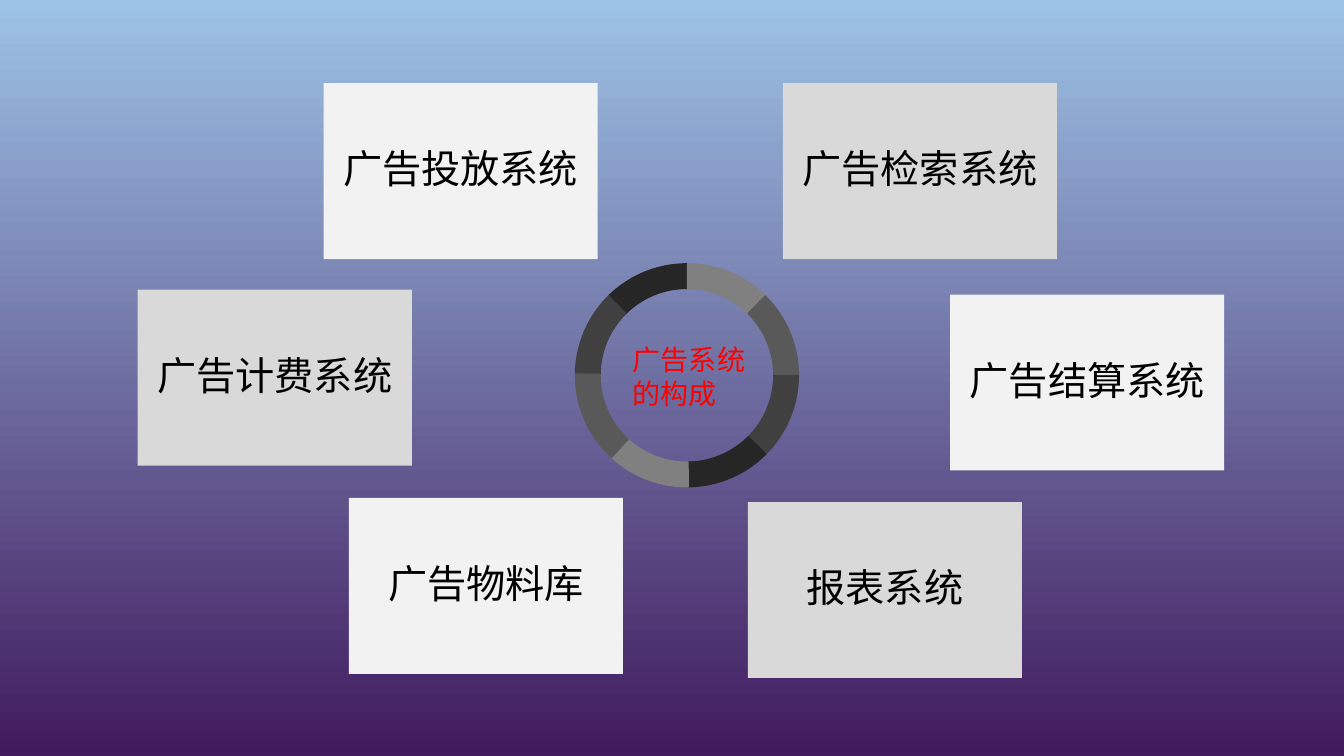
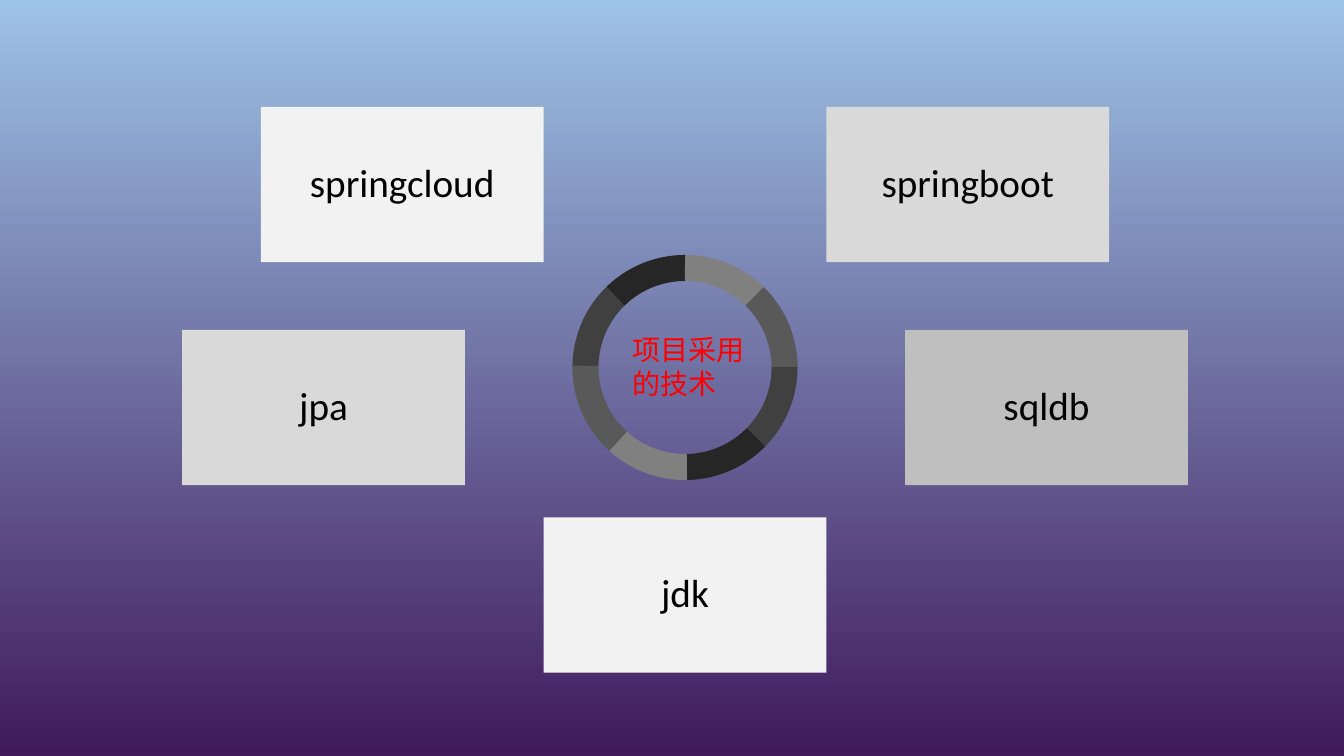
from dataclasses import dataclass
from itertools import cycle, pairwise

from lxml import etree
from pptx import Presentation
from pptx.dml.color import RGBColor
from pptx.enum import shapes, text
from pptx.oxml import ns
from pptx.util import Pt

COLOURS = {
    "sky": "9DC3E6",
    "violet": "401A5D",
    "pale": "F2F2F2",
    "light": "D9D9D9",
    "silver": "BFBFBF",
    "grey": "808080",
    "slate": "595959",
    "charcoal": "404040",
    "ink": "262626",
    "black": "000000",
    "red": "FF0000",
}
LATIN_FONT = "Calibri"
CHINESE_FONT = "Noto Sans CJK SC"
RING_SEAMS = (180.6, 226.2, 270.4, 314.7, 0.2, 45, 89.3, 132.6, 180.6)
RING_COLOURS = ("charcoal", "ink", "grey", "slate")
RING_THICKNESS = 0.11


@dataclass(frozen=True)
class Card:
    label: str
    left: float
    top: float
    colour: str


@dataclass(frozen=True)
class Ring:
    left: float
    top: float
    size: float


@dataclass(frozen=True)
class Topic:
    title: str
    title_left: float
    title_top: float
    ring: Ring
    card_width: float
    card_height: float
    cards: tuple[Card, ...]


AXIS = 388.3
UPPER_OFFSET = 202
MIDDLE_OFFSET = 258.2

TOPICS = (
    Topic("广告系统的构成", 445, 241.2, Ring(411.1, 188.5, 159.2), 195.8, 125.7, (
        Card("广告投放系统", 231.1, 59.4, "pale"),
        Card("广告检索系统", 559.2, 59.4, "light"),
        Card("广告结算系统", 678.7, 210.4, "pale"),
        Card("报表系统", 534.2, 358.6, "light"),
        Card("广告物料库", 249.2, 355.7, "pale"),
        Card("广告计费系统", 98.4, 206.9, "light"),
    )),
    Topic("项目采用的技术", 444.6, 234, Ring(409.4, 182.6, 159.8), 202, 111, (
        Card("springcloud", AXIS - UPPER_OFFSET, 76.3, "pale"),
        Card("springboot", AXIS + UPPER_OFFSET, 76.3, "light"),
        Card("sqldb", AXIS + MIDDLE_OFFSET, 235.6, "silver"),
        Card("jdk", AXIS, 369.5, "pale"),
        Card("jpa", AXIS - MIDDLE_OFFSET, 235.6, "light"),
    )),
)


def rgb(name: str) -> RGBColor:
    return RGBColor.from_string(COLOURS[name])


def paint_background(master) -> None:
    fill = master.background.fill
    fill.gradient()
    fill.gradient_angle = 270
    for stop, position, colour in zip(fill.gradient_stops, (0, 1), ("sky", "violet")):
        stop.position = position
        stop.color.rgb = rgb(colour)


def add_text(paragraph, words: str, size: float, font: str, colour: str) -> None:
    run = paragraph.add_run()
    run.text = words
    run.font.size = Pt(size)
    run.font.name = font
    run.font.color.rgb = rgb(colour)
    properties = run.font._element
    etree.SubElement(properties, ns.qn("a:ea")).set("typeface", CHINESE_FONT)


def add_ring(slide, ring: Ring) -> None:
    group = slide.shapes.add_group_shape()
    for (start, end), colour in zip(pairwise(RING_SEAMS), cycle(RING_COLOURS)):
        segment = group.shapes.add_shape(
            shapes.MSO_SHAPE.BLOCK_ARC,
            Pt(ring.left), Pt(ring.top), Pt(ring.size), Pt(ring.size),
        )
        segment.shadow.inherit = False
        segment.adjustments[0] = start * 0.6
        segment.adjustments[1] = end * 0.6
        segment.adjustments[2] = RING_THICKNESS
        segment.fill.solid()
        segment.fill.fore_color.rgb = rgb(colour)
        segment.line.color.rgb = rgb(colour)
        segment.line.width = Pt(1)


def add_card(slide, card: Card, width: float, height: float) -> None:
    shape = slide.shapes.add_shape(
        shapes.MSO_SHAPE.RECTANGLE, Pt(card.left), Pt(card.top), Pt(width), Pt(height)
    )
    shape.shadow.inherit = False
    shape.fill.solid()
    shape.fill.fore_color.rgb = rgb(card.colour)
    shape.line.fill.background()
    frame = shape.text_frame
    frame.word_wrap = True
    frame.vertical_anchor = text.MSO_ANCHOR.MIDDLE
    paragraph = frame.paragraphs[0]
    paragraph.alignment = text.PP_ALIGN.CENTER
    paragraph.line_spacing = 0.9
    paragraph.space_before = Pt(10)
    add_text(paragraph, card.label, 28, LATIN_FONT, "black")


def add_title(slide, topic: Topic) -> None:
    box = slide.shapes.add_textbox(
        Pt(topic.title_left), Pt(topic.title_top), Pt(97.5), Pt(55.5)
    )
    frame = box.text_frame
    frame.word_wrap = True
    frame.auto_size = text.MSO_AUTO_SIZE.SHAPE_TO_FIT_TEXT
    add_text(frame.paragraphs[0], topic.title, 20, CHINESE_FONT, "red")


def add_topic(presentation, topic: Topic) -> None:
    slide = presentation.slides.add_slide(presentation.slide_layouts[6])
    add_ring(slide, topic.ring)
    for card in topic.cards:
        add_card(slide, card, topic.card_width, topic.card_height)
    add_title(slide, topic)


def main() -> None:
    presentation = Presentation()
    presentation.slide_width = Pt(960)
    presentation.slide_height = Pt(540)
    paint_background(presentation.slide_master)
    for topic in TOPICS:
        add_topic(presentation, topic)
    presentation.save("out.pptx")


if __name__ == "__main__":
    main()
